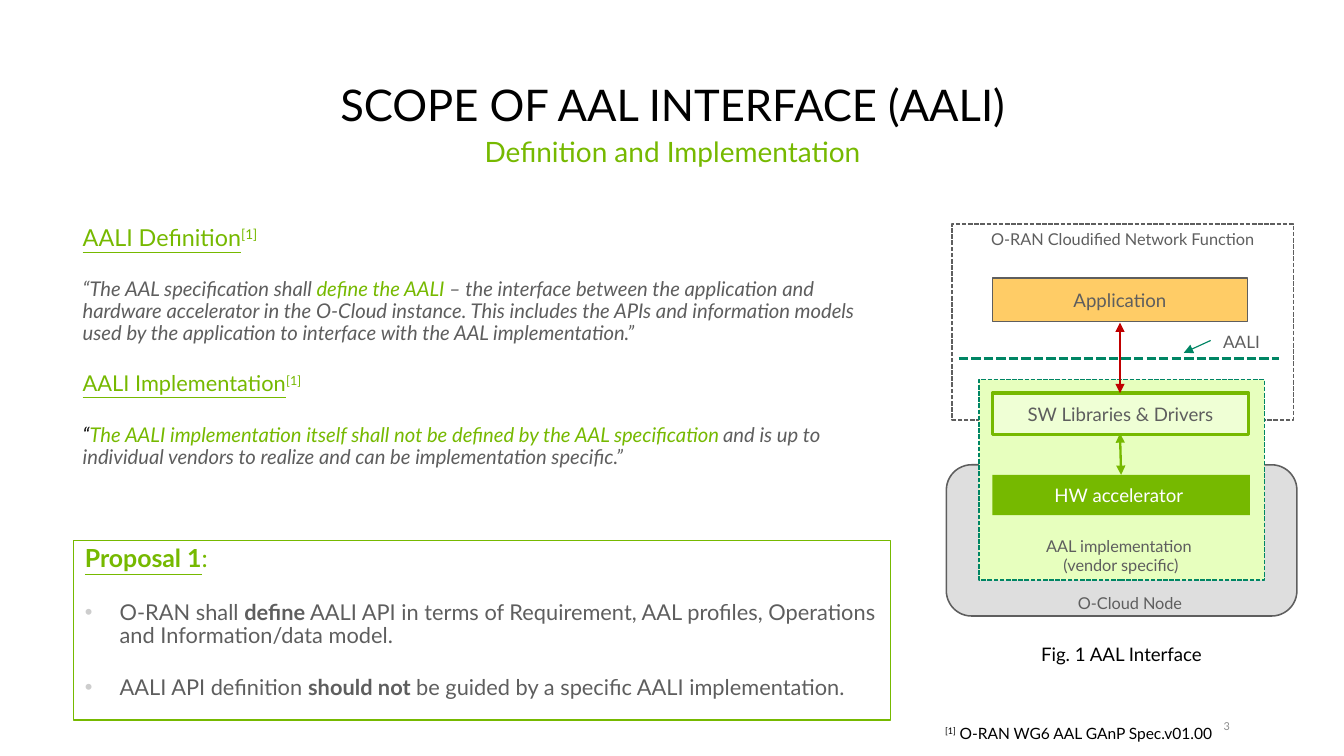
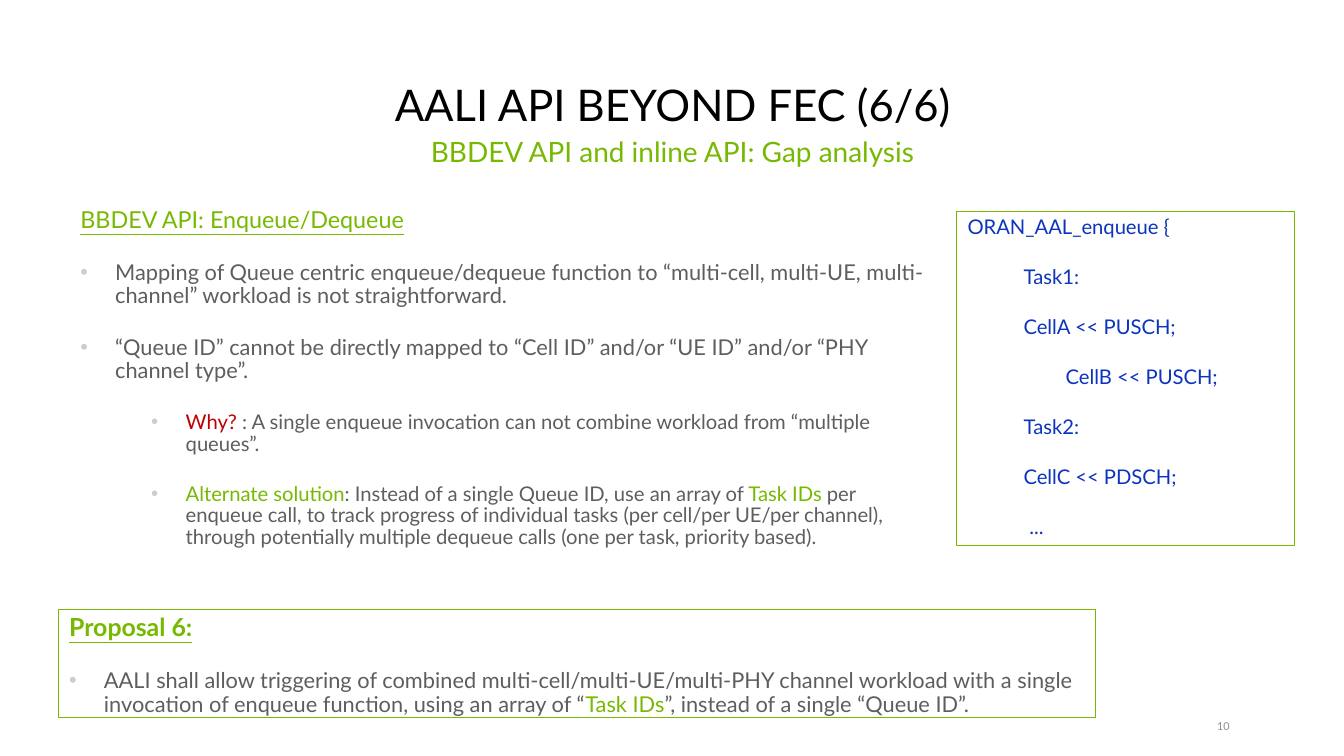
"""Build two slides on the AAL interface: its scope and its enqueue gap analysis."""
from lxml import etree
from pptx import Presentation
from pptx.dml.color import RGBColor as RGB
from pptx.enum.dml import MSO_LINE as DASH
from pptx.enum.shapes import MSO_CONNECTOR as CONN, MSO_SHAPE as SHAPE
from pptx.enum.text import MSO_ANCHOR as ANCHOR, PP_ALIGN as ALIGN
from pptx.oxml.ns import qn
from pptx.util import Inches, Pt

HUES = {
    "green": "76B900", "lime": "E7FFBE", "pale": "EFFFD5", "teal": "008564",
    "grey": "5E5E5E", "cloud": "DEDEDE", "dot": "CDCDCD", "page": "8C8C8C",
    "amber": "FFCC66", "red": "C00000", "blue": "0C34BD",
    "black": "000000", "white": "FFFFFF",
}
FONT = "Lato"
FLAGS = {"b": "bold", "i": "italic", "u": "underline"}
PROSE = {"alignment": ALIGN.LEFT, "line_spacing": 0.9, "space_before": Pt(9), "space_after": Pt(9)}
MID = {"alignment": ALIGN.CENTER}
TIGHT = {"alignment": ALIGN.CENTER, "line_spacing": 0.9}
STEP = 0.31
DEEP = 0.94


def write(shape, paras, form, anchor=ANCHOR.TOP):
    frame = shape.text_frame
    frame.word_wrap = True
    frame.vertical_anchor = anchor
    for n, (indent, size, runs) in enumerate(paras):
        para = frame.add_paragraph() if n else frame.paragraphs[0]
        if indent:
            para.level = int(indent == DEEP)
            props = para._p.get_or_add_pPr()
            props.set("marL", str(Inches(indent)))
            props.set("indent", str(-Inches(STEP)))
            tint = etree.SubElement(props, qn("a:buClr"))
            etree.SubElement(tint, qn("a:srgbClr")).set("val", HUES["dot"])
            etree.SubElement(props, qn("a:buFont")).set("typeface", "Arial")
            etree.SubElement(props, qn("a:buChar")).set("char", "•")
        for key, value in form.items():
            if n or key != "space_before":
                setattr(para, key, value)
        for text, hue, *flags in runs:
            run = para.add_run()
            run.text = text
            run.font.name = FONT
            run.font.size = Pt(size)
            run.font.color.rgb = RGB.from_string(HUES[hue])
            for flag in "".join(flags):
                if flag == "^":
                    run._r.get_or_add_rPr().set("baseline", "30000")
                else:
                    setattr(run.font, FLAGS[flag], True)


def draw(slide, at, kind=None, fill=None, line=None, width=1, dash=None):
    spot = [Inches(v) for v in at]
    if kind is None:
        return slide.shapes.add_textbox(*spot)
    shape = slide.shapes.add_shape(kind, *spot)
    shape.shadow.inherit = False
    if fill:
        shape.fill.solid()
        shape.fill.fore_color.rgb = RGB.from_string(HUES[fill])
    else:
        shape.fill.background()
    if line:
        shape.line.color.rgb = RGB.from_string(HUES[line])
        shape.line.width = Pt(width)
        shape.line.dash_style = dash
    else:
        shape.line.fill.background()
    return shape


deck = Presentation()
deck.slide_width, deck.slide_height = Inches(12), Inches(6.75)

heads = [
    ("SCOPE OF AAL INTERFACE (AALI)", "Definition and Implementation", "3"),
    ("AALI API BEYOND FEC (6/6)", "BBDEV API and inline API: Gap analysis", "10"),
]
for title, topic, page in heads:
    slide = deck.slides.add_slide(deck.slide_layouts[6])
    write(draw(slide, (0.55, 0.57, 10.91, 0.65)), [(0, 28, [(title, "black")])], TIGHT, ANCHOR.BOTTOM)
    write(draw(slide, (0.55, 1.19, 10.91, 0.57)), [(0, 18, [(topic, "green")])], {**PROSE, **TIGHT})
    foot = draw(slide, (10.66, 6.41, 0.32, 0.15))
    for side in ("left", "right", "top", "bottom"):
        setattr(foot.text_frame, f"margin_{side}", 0)
    write(foot, [(0, 7, [(page, "page")])], {"alignment": ALIGN.RIGHT}, ANCHOR.MIDDLE)
scope, gap = deck.slides

write(draw(scope, (0.64, 1.97, 7.12, 2.56)), [
    (0, 15, [("AALI Definition", "green", "u"), ("[1]", "green", "^")]),
    (0, 13, [
        ("“The AAL specification shall ", "grey", "i"),
        ("define the AALI ", "green", "i"),
        ("– the interface between the application and hardware accelerator in the O-Cloud "
         "instance. This includes the APIs and information models used by the application "
         "to interface with the AAL implementation.”", "grey", "i"),
    ]),
    (0, 14, [("AALI Implementation", "green", "u"), ("[1]", "green", "^")]),
    (0, 13, [
        ("“", "black", "i"),
        ("The AALI implementation itself shall not be defined by the AAL specification ", "green", "i"),
        ("and is up to individual vendors to realize and can be implementation specific.”", "grey", "i"),
    ]),
], PROSE)

parts = [
    ((8.5, 2, 3.05, 1.75), SHAPE.RECTANGLE, None, "grey", 1, DASH.SQUARE_DOT),
    ((8.45, 4.15, 3.13, 1.35), SHAPE.ROUNDED_RECTANGLE, "cloud", "grey", 1, None),
    ((8.74, 3.39, 2.55, 1.79), SHAPE.RECTANGLE, "lime", "teal", 1, DASH.SQUARE_DOT),
]
for part in parts:
    draw(scope, *part)

tags = [
    ((8.86, 2.48, 2.28, 0.39), "amber", "grey", 1, 12, "grey", ["Application"]),
    ((8.86, 4.24, 2.3, 0.36), "green", None, 1, 12, "white", ["HW accelerator "]),
    ((8.86, 3.51, 2.29, 0.37), "pale", "green", 2, 12, "grey", ["SW Libraries & Drivers"]),
    ((8.64, 2.01, 2.77, 0.24), "white", None, 1, 10.5, "grey", ["O-RAN Cloudified Network Function"]),
    ((10.81, 2.93, 0.55, 0.24), "white", None, 1, 11, "grey", ["AALI"]),
    ((8.79, 4.84, 2.44, 0.24), None, None, 1, 10.5, "grey", ["AAL implementation ", "(vendor specific)"]),
    ((9.39, 5.26, 1.4, 0.24), None, None, 1, 10.5, "grey", ["O-Cloud Node"]),
]
for at, fill, line, width, size, hue, rows in tags:
    tag = draw(scope, at, SHAPE.RECTANGLE if fill else None, fill, line, width)
    write(tag, [(0, size, [(row, hue)]) for row in rows], MID, ANCHOR.MIDDLE)

links = [
    ((8.56, 3.2, 11.42, 3.2), "teal", 2, DASH.SQUARE_DOT, []),
    ((10, 3.87, 10.01, 4.24), "green", 1.5, None, ["headEnd", "tailEnd"]),
    ((10, 2.88, 10, 3.51), "red", 1.5, None, ["headEnd", "tailEnd"]),
    ((10.81, 3.04, 10.57, 3.15), "teal", 0.75, None, ["tailEnd"]),
]
for ends, hue, width, dash, tips in links:
    link = scope.shapes.add_connector(CONN.STRAIGHT, *[Inches(v) for v in ends])
    link.line.color.rgb = RGB.from_string(HUES[hue])
    link.line.width = Pt(width)
    link.line.dash_style = dash
    for tip in tips:
        etree.SubElement(link.line._get_or_add_ln(), qn(f"a:{tip}")).set("type", "triangle")
    etree.SubElement(link._element.spPr, qn("a:effectLst"))

write(draw(scope, (8.94, 5.71, 2.19, 0.28)), [
    (0, 12, [("Fig. 1 AAL Interface ", "black")]),
], TIGHT, ANCHOR.MIDDLE)
write(draw(scope, (8.28, 6.43, 2.7, 0.25)), [
    (0, 10, [("[1]", "black", "^"), (" O-RAN WG6 AAL GAnP Spec.v01.00", "black")]),
], TIGHT, ANCHOR.MIDDLE)

write(draw(scope, (0.66, 4.83, 7.29, 1.6), SHAPE.RECTANGLE, None, "green", 0.75), [
    (0, 16, [("Proposal 1", "green", "bu"), (":", "green")]),
    (STEP, 14, [
        ("O-RAN shall ", "grey"),
        ("define", "grey", "b"),
        (" AALI API in terms of Requirement, AAL profiles, Operations and Information/data model.", "grey"),
    ]),
    (STEP, 14, [
        ("AALI API definition ", "grey"),
        ("should not ", "grey", "b"),
        ("be guided by a specific AALI implementation.", "grey"),
    ]),
], PROSE)

write(draw(gap, (0.62, 1.81, 7.83, 3.33)), [
    (0, 15, [("BBDEV API: Enqueue/Dequeue", "green", "u")]),
    (STEP, 14, [("Mapping of Queue centric enqueue/dequeue function to “multi-cell, multi-UE, "
                 "multi-channel” workload is not straightforward.", "grey")]),
    (STEP, 14, [("“Queue ID” cannot be directly mapped to “Cell ID” and/or “UE ID” and/or "
                 "“PHY channel type”.", "grey")]),
    (DEEP, 13, [
        ("Why?", "red"),
        (" : A single enqueue invocation can not combine workload from “multiple queues”.", "grey"),
    ]),
    (DEEP, 13, [
        ("Alternate solution", "green"),
        (": Instead of a single Queue ID, use an array of ", "grey"),
        ("Task IDs ", "green"),
        ("per enqueue call, to track progress of individual tasks (per cell/per UE/per channel), "
         "through potentially multiple dequeue calls (one per task, priority based).", "grey"),
    ]),
], PROSE)

code = [
    "ORAN_AAL_enqueue {",
    "           Task1:",
    "\tCellA << PUSCH;",
    "                   CellB << PUSCH;",
    "           Task2:",
    "\tCellC << PDSCH;",
    "            ...",
]
write(draw(gap, (8.54, 1.89, 3.02, 2.98), SHAPE.RECTANGLE, None, "green", 0.75),
      [(0, 13, [(row, "blue")]) for row in code], PROSE)

write(draw(gap, (0.52, 5.44, 9.26, 0.97), SHAPE.RECTANGLE, None, "green", 0.75), [
    (0, 16, [("Proposal 6:", "green", "bu")]),
    (STEP, 14, [
        ("AALI shall allow triggering of combined multi-cell/multi-UE/multi-PHY channel workload "
         "with a single invocation of enqueue function, using an array of “", "grey"),
        ("Task IDs", "green"),
        ("”, instead of a single “Queue ID”.", "grey"),
    ]),
], PROSE)

deck.save("out.pptx")
